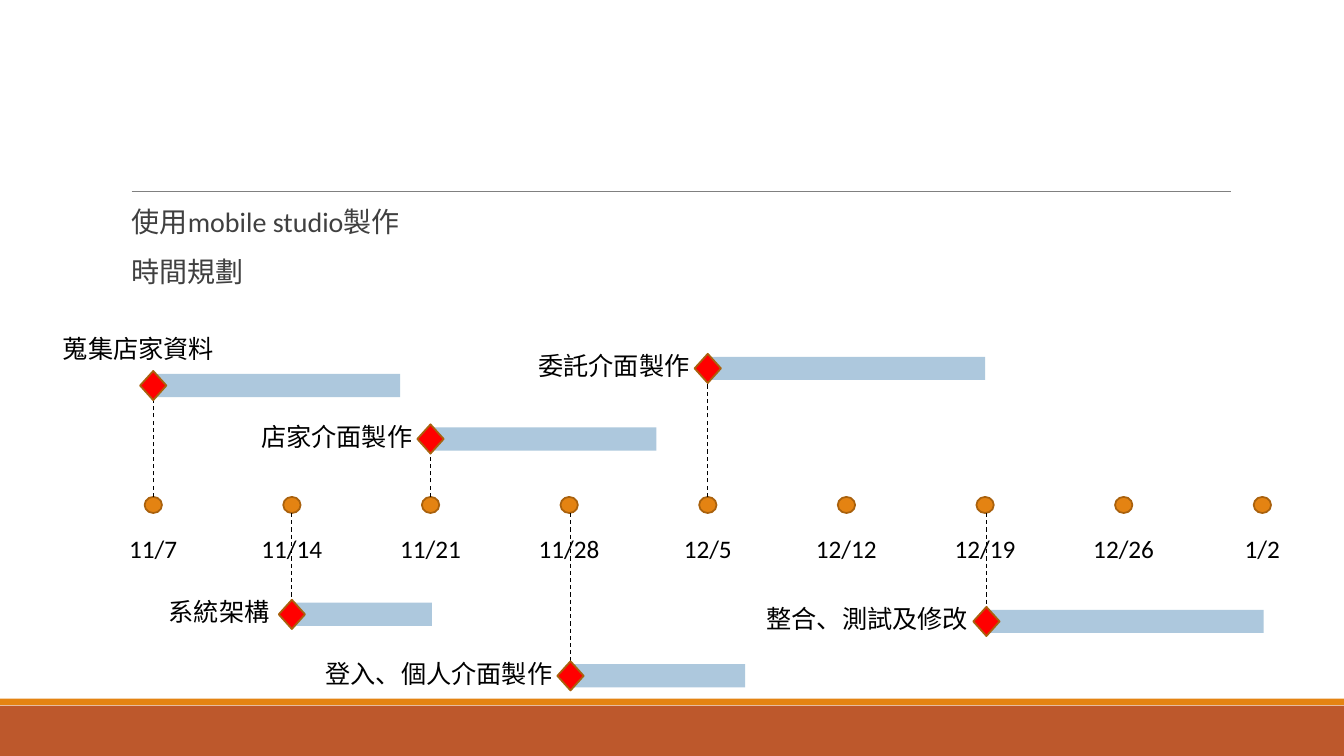
"""Build a project timeline slide with weekly dates and task bars."""
from dataclasses import dataclass

from lxml import etree
from pptx import Presentation
from pptx import util as u
from pptx.dml.color import RGBColor
from pptx.enum import dml, shapes, text
from pptx.oxml import ns

WIDTH = u.Inches(13.33)
HEIGHT = u.Inches(7.5)
ROW = HEIGHT / 150
WEEK = u.Inches(1.375)
FIRST_WEEK = u.Inches(1.52)
DOT_ROW = 100.2
DATE_ROW = 108.8
LABEL_GAP = 0.06
LABEL_RISE = 0.5


@dataclass(frozen=True)
class Theme:
    """Colours and type sizes of the slide."""
    font: str = "Calibri"
    body_size: int = 20
    label_size: int = 18
    body: str = "404040"
    ink: str = "000000"
    rule: str = "808080"
    band: str = "BD582C"
    accent: str = "E48312"
    outline: str = "A9610D"
    bar: str = "ADC8DD"
    milestone: str = "FF0000"


@dataclass(frozen=True)
class Task:
    """A task placed by week column and grid row, lasting some weeks."""
    name: str
    week: float
    row: float
    weeks: float
    label_shift: float = 0
    label_rise: float = LABEL_RISE


THEME = Theme()
DATES = ["11/7", "11/14", "11/21", "11/28", "12/5", "12/12", "12/19", "12/26", "1/2"]
INTRODUCTION = ["使用mobile studio製作", "時間規劃"]
TASKS = [
    Task("蒐集店家資料", 0, 76.5, 1.78, label_shift=0.57, label_rise=7.3),
    Task("系統架構", 1, 121.9, 1.01, label_shift=-0.03),
    Task("店家介面製作", 2, 87.1, 1.63),
    Task("登入、個人介面製作", 3.01, 134.1, 1.26),
    Task("委託介面製作", 4, 73.1, 2),
    Task("整合、測試及修改", 6.01, 123.3, 2),
]


def column_x(week: float) -> int:
    """Return the horizontal position of a week column."""
    return round(FIRST_WEEK + week * WEEK)


def row_y(row: float) -> int:
    """Return the vertical position of a grid row."""
    return round(row * ROW)


def add_filled(slide, kind, left: int, top: int, width: int, height: int,
               fill: str, outline: str = ""):
    """Add a flat preset shape with an optional outline."""
    shape = slide.shapes.add_shape(kind, left, top, width, height)
    shape.shadow.inherit = False
    shape.fill.solid()
    shape.fill.fore_color.rgb = RGBColor.from_string(fill)
    if outline:
        shape.line.color.rgb = RGBColor.from_string(outline)
        shape.line.width = u.Pt(1.25)
    else:
        shape.line.fill.background()
    return shape


def add_marker(slide, kind, week: float, row: float, columns: float,
               rows: float, fill: str) -> None:
    """Add an outlined marker centred on a grid point."""
    width, height = round(columns * WEEK), row_y(rows)
    add_filled(slide, kind, column_x(week) - width // 2, row_y(row) - height // 2,
               width, height, fill, THEME.outline)


def add_line(slide, start: tuple, end: tuple, color: str, points: float,
             dashed: bool = False) -> None:
    """Add a straight line without a shadow."""
    line = slide.shapes.add_connector(shapes.MSO_CONNECTOR.STRAIGHT, *start, *end)
    line.line.color.rgb = RGBColor.from_string(color)
    line.line.width = u.Pt(points)
    if dashed:
        line.line.dash_style = dml.MSO_LINE.DASH
    etree.SubElement(line._element.spPr, ns.qn("a:effectLst"))


def style_font(paragraph, size: int, color: str) -> None:
    """Set the font of every run in a paragraph."""
    for run in paragraph.runs:
        run.font.name = THEME.font
        run.font.size = u.Pt(size)
        run.font.color.rgb = RGBColor.from_string(color)


def add_label(slide, words: str, left: int, row: float, width: int, alignment) -> None:
    """Add a one-line label vertically centred on a row."""
    height = row_y(8)
    box = slide.shapes.add_textbox(left, row_y(row) - height // 2, width, height)
    frame = box.text_frame
    frame.word_wrap = True
    frame.vertical_anchor = text.MSO_ANCHOR.MIDDLE
    frame.text = words
    frame.paragraphs[0].alignment = alignment
    style_font(frame.paragraphs[0], THEME.label_size, THEME.ink)


def add_introduction(slide) -> None:
    """Add the introductory lines beneath the rule."""
    box = slide.shapes.add_textbox(round(0.098 * WIDTH), row_y(40.4),
                                   round(0.82 * WIDTH), row_y(20))
    frame = box.text_frame
    frame.word_wrap = True
    frame.margin_left = frame.margin_right = 0
    frame.text = "\n".join(INTRODUCTION)
    for index, paragraph in enumerate(frame.paragraphs):
        paragraph.line_spacing = 0.9
        paragraph.space_before = u.Pt(12 if index else 0)
        paragraph.space_after = u.Pt(2)
        style_font(paragraph, THEME.body_size, THEME.body)


def add_frame(slide) -> None:
    """Add the bottom bands and the title rule."""
    rectangle = shapes.MSO_SHAPE.RECTANGLE
    add_filled(slide, rectangle, 0, row_y(140), WIDTH, row_y(10), THEME.band)
    add_filled(slide, rectangle, 0, row_y(138.6), WIDTH, row_y(1.3), THEME.accent)
    add_line(slide, (round(0.098 * WIDTH), row_y(38)),
             (round(0.916 * WIDTH), row_y(38)), THEME.rule, 0.5)


def add_date(slide, week: int, date: str) -> None:
    """Add a dot and its date to the timeline."""
    add_marker(slide, shapes.MSO_SHAPE.OVAL, week, DOT_ROW, 0.125, 3.2, THEME.accent)
    width = round(0.8 * WEEK)
    add_label(slide, date, column_x(week) - width // 2, DATE_ROW, width,
              text.PP_ALIGN.CENTER)


def add_task(slide, task: Task) -> None:
    """Add a task bar, its dashed link, milestone and label."""
    x = column_x(task.week)
    add_filled(slide, shapes.MSO_SHAPE.RECTANGLE, x, row_y(task.row - 2.3),
               round(task.weeks * WEEK), row_y(4.6), THEME.bar)
    side = 1 if task.row > DOT_ROW else -1
    add_line(slide, (x, row_y(DOT_ROW + side * 1.6)), (x, row_y(task.row - side * 2.9)),
             THEME.ink, 0.75, dashed=True)
    add_marker(slide, shapes.MSO_SHAPE.DIAMOND, task.week, task.row, 0.19, 5.8,
               THEME.milestone)
    width = round((0.3 + 0.19 * len(task.name)) * WEEK)
    right = column_x(task.week + task.label_shift - LABEL_GAP)
    add_label(slide, task.name, right - width, task.row - task.label_rise, width,
              text.PP_ALIGN.RIGHT)


def main() -> None:
    """Build and save the presentation."""
    presentation = Presentation()
    presentation.slide_width, presentation.slide_height = WIDTH, HEIGHT
    slide = presentation.slides.add_slide(presentation.slide_layouts[6])
    add_frame(slide)
    add_introduction(slide)
    for week, date in enumerate(DATES):
        add_date(slide, week, date)
    for task in TASKS:
        add_task(slide, task)
    presentation.save("out.pptx")


if __name__ == "__main__":
    main()
